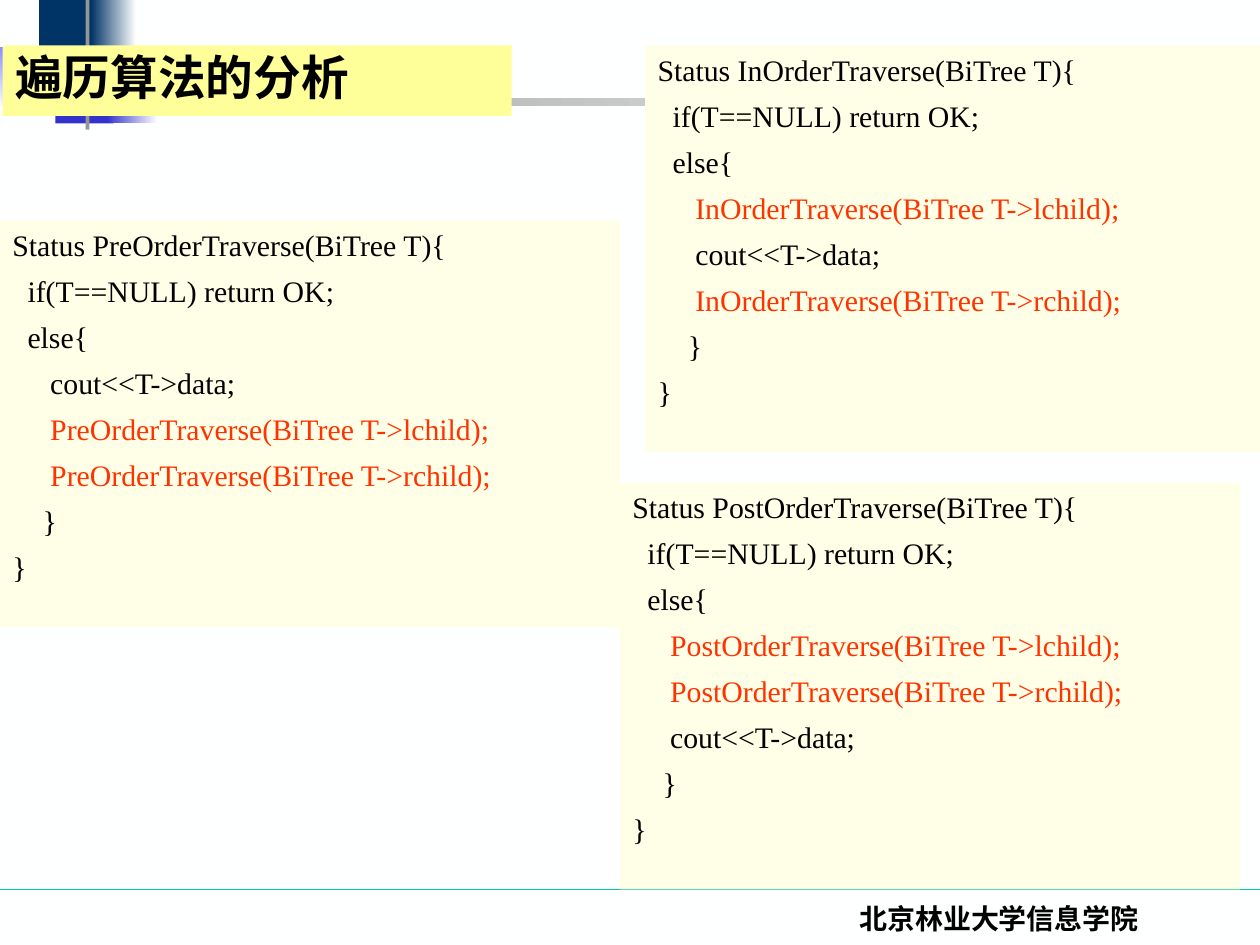
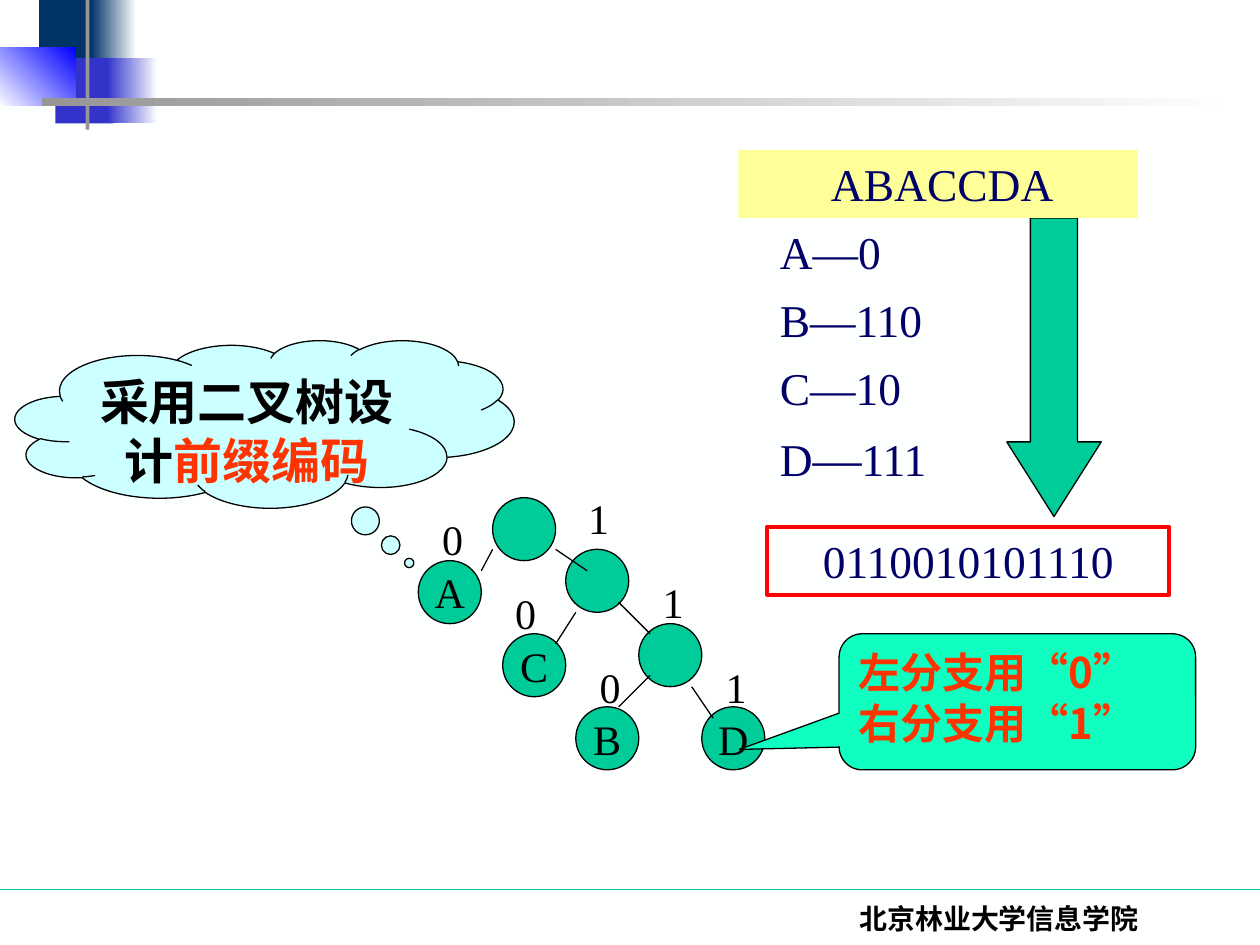
from lxml import etree
from pptx import Presentation
from pptx.dml.color import RGBColor
from pptx.enum.shapes import MSO_CONNECTOR, MSO_SHAPE
from pptx.enum.text import MSO_ANCHOR, MSO_AUTO_SIZE, PP_ALIGN
from pptx.oxml.ns import qn
from pptx.util import Inches, Pt

PAPER = RGBColor(0xFE, 0xFF, 0xFF)
BLACK = RGBColor(0x00, 0x00, 0x00)
GREEN = RGBColor(0x00, 0xCC, 0x99)
MINT = RGBColor(0x0F, 0xFF, 0xC0)
NAVY = RGBColor(0x00, 0x33, 0x66)
INDIGO = RGBColor(0x33, 0x33, 0xCC)
BLUE = RGBColor(0x00, 0x00, 0xFF)
GRAY = RGBColor(0x96, 0x96, 0x96)
CREAM = RGBColor(0xFF, 0xFF, 0xE7)
YELLOW = RGBColor(0xFF, 0xFF, 0x99)
SKY = RGBColor(0xCC, 0xFF, 0xFF)
ORANGE = RGBColor(0xFF, 0x33, 0x00)
RED = RGBColor(0xFF, 0x00, 0x00)
CODE_BLUE = RGBColor(0x00, 0x00, 0x66)

SERIF = "Times New Roman"
SANS = "Noto Sans CJK SC"
TITLE_ONLY, BLANK = 5, 6
NODE_SIZE = 0.5
LABEL_WIDTH = 0.58
CODE_SIZE = (4.92, 3.23)
CODE_SPACE = 0.06


def write_text(shape, paragraphs, size=24, color=BLACK, bold=False, font=SERIF,
               align=PP_ALIGN.LEFT, anchor=MSO_ANCHOR.TOP, before=0,
               line_spacing=None, wrap=True, indents=None):
    frame = shape.text_frame
    frame.auto_size = MSO_AUTO_SIZE.NONE
    frame.word_wrap = wrap
    frame.vertical_anchor = anchor
    frame.margin_left = frame.margin_right = Inches(0.1)
    frame.margin_top = frame.margin_bottom = Inches(0.05)
    for index, runs in enumerate(paragraphs):
        paragraph = frame.add_paragraph() if index else frame.paragraphs[0]
        paragraph.alignment = align
        paragraph.space_before = Pt(before)
        paragraph.line_spacing = line_spacing
        if indents:
            properties = paragraph._p.get_or_add_pPr()
            properties.set("marL", str(Inches(indents[index])))
            properties.set("indent", "0")
        for text, changes in [(runs, {})] if isinstance(runs, str) else runs:
            run = paragraph.add_run()
            run.text = text
            run.font.name = font
            run.font.size = Pt(changes.get("size", size))
            run.font.bold = bold
            run.font.color.rgb = changes.get("color", color)
            east_asian = etree.SubElement(run._r.get_or_add_rPr(), qn("a:ea"))
            east_asian.set("typeface", SANS)


class SlideBuilder:
    def __init__(self, presentation):
        self.presentation = presentation
        self.slide = None

    def start(self, layout_index):
        layout = self.presentation.slide_layouts[layout_index]
        self.slide = self.presentation.slides.add_slide(layout)
        background = self.slide.background.fill
        background.solid()
        background.fore_color.rgb = PAPER
        self.line((0, 7.06), (10, 7.06), GREEN)
        self.shape((0.31, 0, 0.48, 0.52), NAVY)
        self.gradient((0.72, 0, 0.36, 0.52), NAVY, PAPER)
        self.shape((0.44, 0.46, 0.46, 0.52), INDIGO)
        self.gradient((0.85, 0.46, 0.4, 0.52), INDIGO, PAPER)
        self.gradient((-0.01, 0.38, 0.61, 0.46), PAPER, BLUE, 45)
        self.shape((0.68, -0.12, 0.03, 1.15), GRAY)
        self.gradient((0.33, 0.78, 9.51, 0.06), GRAY, PAPER)
        self.text((5.86, 7.11, 4.14, 0.5), ["北京林业大学信息学院"],
                  size=16, bold=True, align=PP_ALIGN.CENTER, before=10)

    def shape(self, box, fill=None, outline=None, width=0.75,
              kind=MSO_SHAPE.RECTANGLE, adjustments=()):
        shape = self.slide.shapes.add_shape(kind, *map(Inches, box))
        shape.shadow.inherit = False
        if fill is None:
            shape.fill.background()
        else:
            shape.fill.solid()
            shape.fill.fore_color.rgb = fill
        if outline is None:
            shape.line.fill.background()
        else:
            shape.line.color.rgb = outline
            shape.line.width = Pt(width)
        for index, value in enumerate(adjustments):
            shape.adjustments[index] = value
        return shape

    def gradient(self, box, first, last, angle=0):
        fill = self.shape(box).fill
        fill.gradient()
        fill.gradient_angle = angle
        for stop, position, color in zip(fill.gradient_stops, (0, 1), (first, last)):
            stop.position = position
            stop.color.rgb = color

    def line(self, start, end, color=BLACK):
        connector = self.slide.shapes.add_connector(
            MSO_CONNECTOR.STRAIGHT, *map(Inches, start + end))
        connector.line.color.rgb = color
        connector.line.width = Pt(0.75)
        etree.SubElement(connector._element.spPr, qn("a:effectLst"))

    def text(self, box, paragraphs, **style):
        text_box = self.slide.shapes.add_textbox(*map(Inches, box))
        write_text(text_box, paragraphs, **style)

    def title(self, box, text):
        title = self.slide.shapes.title
        title.left, title.top, title.width, title.height = map(Inches, box)
        title.fill.solid()
        title.fill.fore_color.rgb = YELLOW
        write_text(title, [text], size=27.2, bold=True, font=SANS,
                   anchor=MSO_ANCHOR.MIDDLE, line_spacing=0.9)
        title._element.getparent().append(title._element)

    def traversal(self, position, order, visit_index):
        name = f"{order}OrderTraverse"
        steps = [f"{name}(BiTree T->{child});" for child in ("lchild", "rchild")]
        steps.insert(visit_index, "cout<<T->data;")
        code = [(0, f"Status {name}(BiTree T){{"), (2, "if(T==NULL) return OK;"),
                (2, "else{"), *((5, step) for step in steps), (4, "}"), (0, "}")]
        paragraphs = [[(text, {"color": ORANGE if "child" in text else BLACK})]
                      for _, text in code]
        write_text(self.shape(position + CODE_SIZE, CREAM), paragraphs, size=17,
                   before=5.9, indents=[depth * CODE_SPACE for depth, _ in code])

    def node(self, position, letter):
        node = self.shape(position + (NODE_SIZE, NODE_SIZE), GREEN, BLACK,
                          kind=MSO_SHAPE.OVAL)
        if letter:
            write_text(node, [letter], align=PP_ALIGN.CENTER,
                       anchor=MSO_ANCHOR.MIDDLE, wrap=False)


def build_traversal_slide(builder):
    builder.start(TITLE_ONLY)
    builder.traversal((0, 1.75), "Pre", 0)
    builder.traversal((4.92, 3.83), "Post", 2)
    builder.traversal((5.12, 0.36), "In", 1)
    builder.title((0.02, 0.36, 4.04, 0.56), "遍历算法的分析")


def build_prefix_code_slide(builder):
    builder.start(BLANK)
    nodes = [((3.91, 3.95), ""), ((4.49, 4.36), ""), ((5.07, 4.95), ""),
             ((3.32, 4.45), "A"), ((3.99, 5.03), "C"),
             ((4.57, 5.61), "B"), ((5.57, 5.61), "D")]
    for position, letter in nodes:
        builder.node(position, letter)

    branches = [((3.91, 4.36), (3.82, 4.53)), ((4.41, 4.36), (4.66, 4.53)),
                ((4.57, 4.86), (4.41, 5.11)), ((5.16, 5.36), (4.91, 5.61)),
                ((5.49, 5.45), (5.66, 5.7)), ((4.91, 4.78), (5.16, 5.03))]
    for start, end in branches:
        builder.line(start, end)

    branch_labels = {"0": [(3.41, 4.03), (3.99, 4.61), (4.66, 5.2)],
                     "1": [(4.57, 3.86), (5.16, 4.53), (5.66, 5.2)]}
    for bit, positions in branch_labels.items():
        for position in positions:
            builder.text(position + (LABEL_WIDTH, NODE_SIZE), [bit], before=15)

    cloud = builder.shape((0.12, 2.7, 3.96, 1.33), SKY, BLACK,
                          kind=MSO_SHAPE.CLOUD_CALLOUT, adjustments=(0.29, 0.83))
    write_text(cloud, [[("采用二叉树设计", {}), ("前缀编码", {"color": ORANGE})]],
               size=28, bold=True, align=PP_ALIGN.CENTER)

    rule = builder.shape((6.66, 5.03, 2.83, 1.08), MINT, BLACK,
                         kind=MSO_SHAPE.ROUNDED_RECTANGULAR_CALLOUT,
                         adjustments=(-0.78, 0.35, 0.17))
    write_text(rule, ["左分支用“0”", "右分支用“1”"], color=ORANGE, bold=True, font=SANS)

    builder.text((6.09, 1.73, 1.52, 3.87),
                 ["A—0", "B—110", "C—10",
                  [("D", {}), ("—", {"size": 28}), ("111", {})]],
                 size=26, color=CODE_BLUE, before=7.5)
    builder.shape((7.99, 1.73, 0.75, 2.37), GREEN, BLACK,
                  kind=MSO_SHAPE.DOWN_ARROW, adjustments=(0.5, 0.79))
    encoded = builder.shape((6.09, 4.18, 3.19, 0.54), outline=RED, width=2.25)
    message = builder.shape((5.86, 1.19, 3.17, 0.54), YELLOW)
    for shape, text in ((encoded, "0110010101110"), (message, " ABACCDA")):
        write_text(shape, [text], size=26, color=CODE_BLUE,
                   align=PP_ALIGN.CENTER, before=16.2)


def main():
    presentation = Presentation()
    presentation.slide_width = Inches(10)
    presentation.slide_height = Inches(7.5)
    builder = SlideBuilder(presentation)
    build_traversal_slide(builder)
    build_prefix_code_slide(builder)
    presentation.save("out.pptx")


if __name__ == "__main__":
    main()
